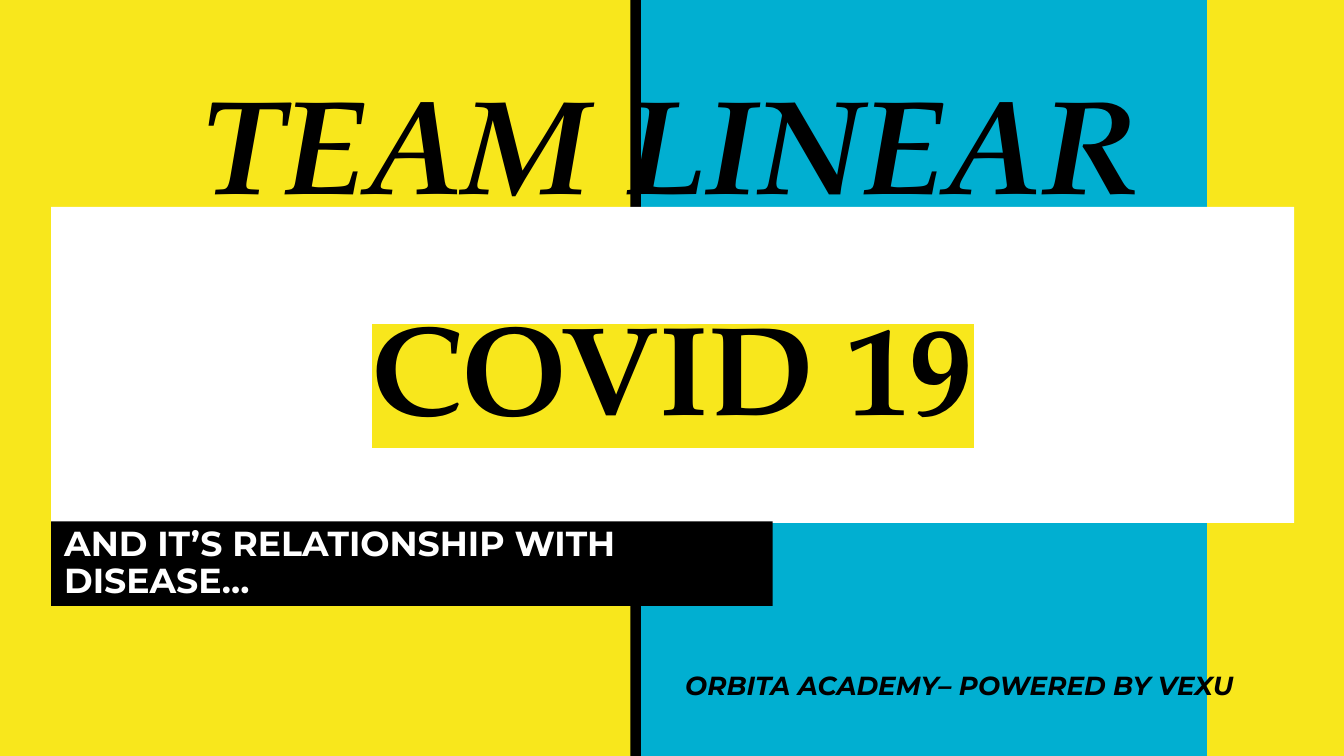
import pptx
import pptx.dml.color
import pptx.enum.shapes
import pptx.enum.text
import pptx.oxml
import pptx.oxml.ns
import pptx.util

Inches = pptx.util.Inches
RGBColor = pptx.dml.color.RGBColor
PP_ALIGN = pptx.enum.text.PP_ALIGN
MSO_ANCHOR = pptx.enum.text.MSO_ANCHOR

YELLOW = RGBColor(0xF8, 0xE7, 0x1C)
BLUE = RGBColor(0x01, 0xAF, 0xD1)
BLACK = RGBColor(0x00, 0x00, 0x00)
WHITE = RGBColor(0xFF, 0xFF, 0xFF)

SERIF = "TeX Gyre Pagella"
SANS = "Montserrat"
SLIDE_WIDTH = 10
SLIDE_HEIGHT = SLIDE_WIDTH * 9 / 16


def add_block(page, left, top, width, height, color):
    block = page.shapes.add_shape(
        pptx.enum.shapes.MSO_SHAPE.RECTANGLE,
        Inches(left), Inches(top), Inches(width), Inches(height))
    block.shadow.inherit = False
    block.fill.solid()
    block.fill.fore_color.rgb = color
    block.line.fill.background()
    return block


def write_text(box, text, font_name, size, color, align=PP_ALIGN.LEFT,
               anchor=MSO_ANCHOR.TOP, italic=False):
    frame = box.text_frame
    frame.text = text
    frame.word_wrap = True
    frame.auto_size = pptx.enum.text.MSO_AUTO_SIZE.NONE
    frame.vertical_anchor = anchor
    frame.margin_left = frame.margin_right = Inches(0.1)
    frame.margin_top = frame.margin_bottom = Inches(0.1)
    para = frame.paragraphs[0]
    para.alignment = align
    span = para.runs[0]
    span.font.name = font_name
    span.font.size = pptx.util.Pt(size)
    span.font.bold = True
    span.font.italic = italic
    span.font.color.rgb = color
    return para


def highlight(span, color):
    # The highlight must follow the text fill
    mark = pptx.oxml.parse_xml(
        f'<a:highlight {pptx.oxml.ns.nsdecls("a")}>'
        f'<a:srgbClr val="{color}"/></a:highlight>')
    properties = span.font._element
    properties.find(pptx.oxml.ns.qn("a:solidFill")).addnext(mark)


def add_backdrop(page, left, top, height):
    page.background.fill.solid()
    page.background.fill.fore_color.rgb = YELLOW
    rule_width = 0.08
    add_block(page, left, top, rule_width, height, BLACK)
    add_block(page, left + rule_width, top, 4.21, height, BLUE)


def add_title_panel(page, left, top, width, height):
    # White title band, raised above the backdrop
    title = page.shapes.title
    title.element.getparent().append(title.element)
    title.left, title.top = Inches(left), Inches(top)
    title.width, title.height = Inches(width), Inches(height)
    title.fill.solid()
    title.fill.fore_color.rgb = WHITE
    para = write_text(title, "COVID 19", SERIF, 68, BLACK,
                      PP_ALIGN.CENTER, MSO_ANCHOR.MIDDLE)
    highlight(para.runs[0], YELLOW)

    # Black subtitle strip under the band
    strip = add_block(page, left, top + height - 0.01, 5.37, 0.63, BLACK)
    para = write_text(strip, "AND IT’S RELATIONSHIP WITH DISEASE…", SANS,
                      18.6, WHITE, anchor=MSO_ANCHOR.MIDDLE)
    para.line_spacing = 0.9


def add_caption(page, left, top, width, height, text, font_name, size, align):
    box = page.shapes.add_textbox(
        Inches(left), Inches(top), Inches(width), Inches(height))
    write_text(box, text, font_name, size, BLACK, align, italic=True)


def main():
    deck = pptx.Presentation()
    deck.slide_width = Inches(SLIDE_WIDTH)
    deck.slide_height = Inches(SLIDE_HEIGHT)
    page = deck.slides.add_slide(deck.slide_layouts[5])

    add_backdrop(page, 4.69, 0, SLIDE_HEIGHT)
    add_title_panel(page, 0.38, 1.54, 9.25, 2.35)

    # Team name above the band, organisation below it
    add_caption(page, 0.93, 0.35, 8.11, 1.41, "TEAM LINEAR",
                SERIF, 72, PP_ALIGN.CENTER)
    add_caption(page, 5, 4.88, 4.49, 0.44, "ORBITA ACADEMY– POWERED BY VEXU",
                SANS, 14, PP_ALIGN.LEFT)

    deck.save("out.pptx")


if __name__ == "__main__":
    main()
